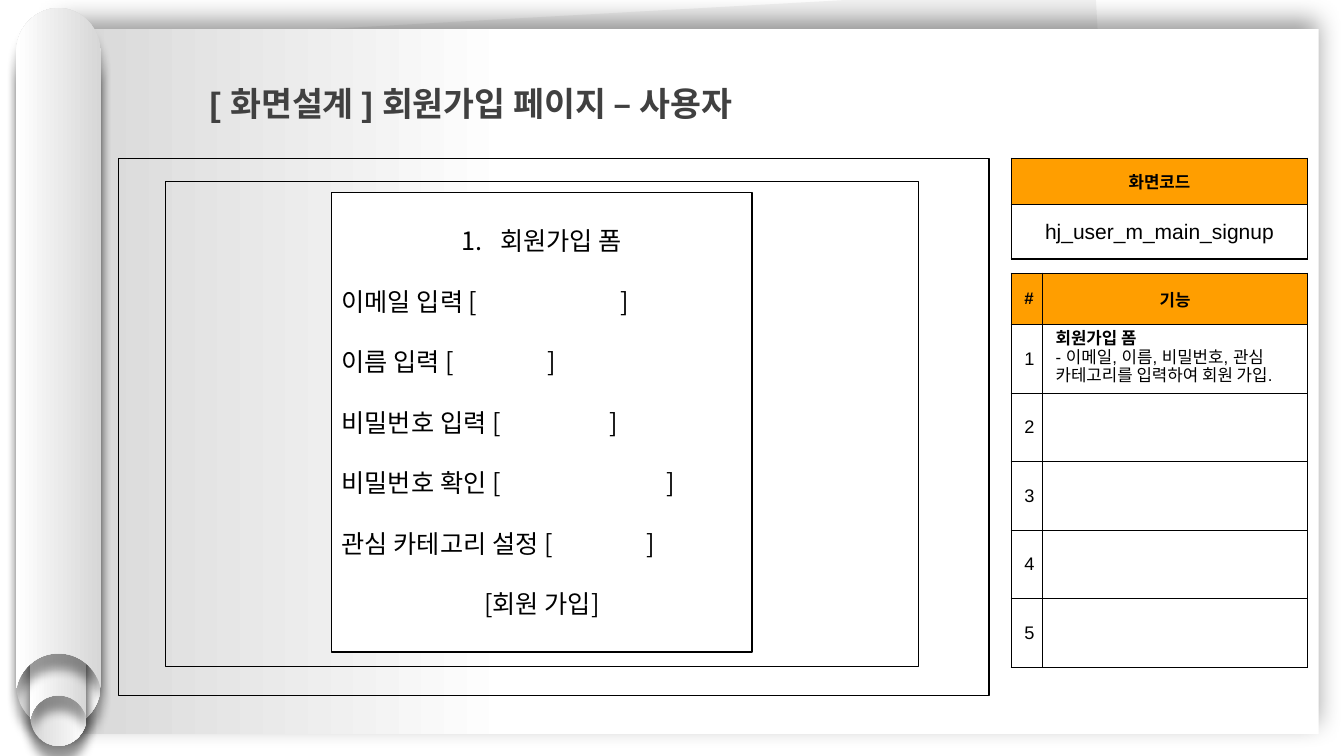
import dataclasses
from typing import Optional

import lxml.etree
import pptx
import pptx.dml.color
import pptx.enum.shapes
import pptx.enum.text
import pptx.oxml
import pptx.oxml.ns
import pptx.util
from pptx.util import Inches

ALIGN = pptx.enum.text.PP_ALIGN
ANCHOR = pptx.enum.text.MSO_ANCHOR


@dataclasses.dataclass(frozen=True)
class Theme:
    black: str = "000000"
    white: str = "FFFFFF"
    title: str = "404040"
    header: str = "FF9E00"
    backing: str = "F2F2F2"
    shade: str = "D7D7D7"
    latin: str = "Arial"
    korean: str = "Noto Sans CJK KR"
    title_size: float = 24
    form_size: float = 18
    code_size: float = 15
    number_size: float = 13
    label_size: float = 12


THEME = Theme()


@dataclasses.dataclass(frozen=True)
class Box:
    left: float
    top: float
    width: float
    height: float

    def emu(self) -> tuple:
        return tuple(Inches(v) for v in dataclasses.astuple(self))


@dataclasses.dataclass(frozen=True)
class Frame:
    box: Box
    fill: Optional[str] = None
    line_width: Optional[float] = None
    rotation: float = 0


@dataclasses.dataclass(frozen=True)
class Roll:
    box: Box
    rotation: float


@dataclasses.dataclass(frozen=True)
class FormLine:
    text: str
    centred: bool = False
    bracket_stop: Optional[float] = None
    numbered: bool = False


@dataclasses.dataclass(frozen=True)
class CellText:
    text: str
    size: float
    bold: bool = False
    fill: Optional[str] = None


BACKING = Frame(Box(0.91, 0.14, 10.15, 6.8), fill=THEME.backing, rotation=356.8)
PAPER = Frame(Box(0.58, 0.29, 12.5, 6.99))
ROLLS = [
    Roll(Box(0.16, 0.48, 0.84, 6.75), 180),
    Roll(Box(0.3, 2.88, 0.56, 4.52), 180),
    Roll(Box(0.3, 2.61, 0.56, 4.52), 0),
    Roll(Box(0.16, 0.08, 0.84, 6.75), 0),
]
SCREEN = Frame(Box(1.18, 1.57, 8.63, 5.33), line_width=0.75)
PAGE = Frame(Box(1.64, 1.8, 7.47, 4.81), line_width=1)
FORM = Frame(Box(3.29, 1.91, 4.17, 4.56), fill=THEME.white, line_width=1)
FORM_LINES = [
    FormLine("회원가입 폼", centred=True, numbered=True),
    FormLine("이메일 입력 [\t]", bracket_stop=2.77),
    FormLine("이름 입력 [\t]", bracket_stop=2.04),
    FormLine("비밀번호 입력 [\t]", bracket_stop=2.66),
    FormLine("비밀번호 확인 [\t]", bracket_stop=3.22),
    FormLine("관심 카테고리 설정 [\t]", bracket_stop=3.02),
    FormLine("[회원 가입]", centred=True),
]
FEATURE = "회원가입 폼\n- 이메일, 이름, 비밀번호, 관심 카테고리를 입력하여 회원 가입."


def rgb(value: str) -> pptx.dml.color.RGBColor:
    return pptx.dml.color.RGBColor.from_string(value)


def style(paragraph, size: float, colour: str = THEME.black, bold: bool = False,
          latin: str = THEME.latin) -> None:
    for run in paragraph.runs:
        run.font.size = pptx.util.Pt(size)
        run.font.bold = bold
        run.font.name = latin
        run.font.color.rgb = rgb(colour)
        run.font._element.set("kern", "0")
        east_asian = lxml.etree.SubElement(run.font._element, pptx.oxml.ns.qn("a:ea"))
        east_asian.set("typeface", THEME.korean)


def cast_shadow(shape, blur: float, distance: float, angle: float) -> None:
    shape.shadow.inherit = False
    effects = shape.element.spPr.find(pptx.oxml.ns.qn("a:effectLst"))
    effects.append(pptx.oxml.parse_xml(
        f'<a:outerShdw {pptx.oxml.ns.nsdecls("a")} blurRad="{pptx.util.Pt(blur)}" '
        f'dist="{pptx.util.Pt(distance)}" dir="{angle * 60000}" algn="ctr" rotWithShape="0">'
        f'<a:srgbClr val="{THEME.black}"><a:alpha val="40000"/></a:srgbClr></a:outerShdw>'))


def shade(shape, stops: list) -> None:
    shape.fill.gradient()
    shape.fill.gradient_angle = 180
    for stop, (position, colour) in zip(shape.fill.gradient_stops, stops):
        stop.position = position
        stop.color.rgb = rgb(colour)


def draw_frame(slide, frame: Frame):
    shape = slide.shapes.add_shape(pptx.enum.shapes.MSO_SHAPE.RECTANGLE, *frame.box.emu())
    shape.rotation = frame.rotation
    shape.shadow.inherit = False
    if frame.fill:
        shape.fill.solid()
        shape.fill.fore_color.rgb = rgb(frame.fill)
    else:
        shape.fill.background()
    if frame.line_width:
        shape.line.color.rgb = rgb(THEME.black)
        shape.line.width = pptx.util.Pt(frame.line_width)
    else:
        shape.line.fill.background()
    return shape


def bend(shape, curve_starts: list) -> None:
    segments = list(shape.element.iter(pptx.oxml.ns.qn("a:lnTo")))
    for start in curve_starts:
        curve = pptx.oxml.parse_xml(f'<a:cubicBezTo {pptx.oxml.ns.nsdecls("a")}/>')
        segments[start].addprevious(curve)
        for segment in segments[start:start + 3]:
            curve.append(segment[0])
            segment.getparent().remove(segment)


def draw_roll(slide, roll: Roll) -> None:
    box, radius = roll.box, roll.box.width / 2
    end = box.height / radius
    right = [(0.55, 0), (1, 0.47), (1, 1.05), (1, end), (0.95, end - 0.17),
             (0.79, end - 0.57), (0.43, end - 0.83)]
    left = [(-x, y) for x, y in reversed(right)]
    points = [(Inches(box.left + radius * (1 + x)), Inches(box.top + radius * y))
              for x, y in [(0, 0), *right, (0, end - 0.83), *left, (0, 0)]]
    outline = slide.shapes.build_freeform(*points[0])
    outline.add_line_segments(points[1:], close=True)
    shape = outline.convert_to_shape()
    bend(shape, [0, 5, 8, 13])
    shape.rotation = roll.rotation
    shape.line.fill.background()
    shade(shape, [(0, THEME.shade), (1, THEME.white)])
    cast_shadow(shape, 7, 11, 90)


def draw_form(slide) -> None:
    frame = draw_frame(slide, FORM).text_frame
    frame.word_wrap = True
    frame.vertical_anchor = ANCHOR.MIDDLE
    frame.text = "\n".join(line.text for line in FORM_LINES)
    for index, (paragraph, line) in enumerate(zip(frame.paragraphs, FORM_LINES)):
        paragraph.alignment = ALIGN.CENTER if line.centred else ALIGN.LEFT
        paragraph.line_spacing = pptx.util.Pt(21.6)
        paragraph.space_before = pptx.util.Pt(21.6 if index else 0)
        style(paragraph, THEME.form_size, latin=THEME.korean)
        properties = paragraph._p.get_or_add_pPr()
        if line.numbered:
            properties.set("marL", str(Inches(0.38)))
            properties.set("indent", str(-Inches(0.38)))
            number = lxml.etree.SubElement(properties, pptx.oxml.ns.qn("a:buAutoNum"))
            number.set("type", "arabicPeriod")
        if line.bracket_stop:
            tabs = lxml.etree.SubElement(properties, pptx.oxml.ns.qn("a:tabLst"))
            tab = lxml.etree.SubElement(tabs, pptx.oxml.ns.qn("a:tab"))
            tab.set("pos", str(Inches(line.bracket_stop)))
            tab.set("algn", "l")


def fill_cell(cell, content: CellText) -> None:
    cell.margin_left = cell.margin_right = Inches(0.13)
    cell.margin_top = cell.margin_bottom = Inches(0.07)
    cell.vertical_anchor = ANCHOR.MIDDLE
    for side in ("lnL", "lnR", "lnT", "lnB"):
        cell._tc.get_or_add_tcPr().append(pptx.oxml.parse_xml(
            f'<a:{side} {pptx.oxml.ns.nsdecls("a")} w="{pptx.util.Pt(1)}"><a:solidFill>'
            f'<a:srgbClr val="{THEME.black}"/></a:solidFill></a:{side}>'))
    if content.fill:
        cell.fill.solid()
        cell.fill.fore_color.rgb = rgb(content.fill)
    else:
        cell.fill.background()
    if content.text:
        cell.text_frame.text = content.text
    for paragraph in cell.text_frame.paragraphs:
        paragraph.alignment = ALIGN.CENTER
        style(paragraph, content.size, bold=content.bold)


def draw_table(slide, left: float, top: float, widths: list, heights: list, rows: list):
    box = Box(left, top, sum(widths), sum(heights))
    table = slide.shapes.add_table(len(rows), len(widths), *box.emu()).table
    table.first_row = table.horz_banding = False
    for column, width in zip(table.columns, widths):
        column.width = Inches(width)
    for row, height, contents in zip(table.rows, heights, rows):
        row.height = Inches(height)
        for cell, content in zip(row.cells, contents):
            fill_cell(cell, content)
    return table


def header(text: str) -> CellText:
    return CellText(text, THEME.label_size, True, THEME.header)


def draw_features(slide) -> None:
    rows = [[header("#"), header("기능")]]
    for number in range(1, 6):
        feature = FEATURE if number == 1 else ""
        rows.append([CellText(str(number), THEME.number_size), CellText(feature, THEME.label_size)])
    table = draw_table(slide, 10.03, 2.71, [0.31, 2.63], [0.51] + [0.68] * 5, rows)
    signup = table.cell(1, 1)
    signup.vertical_anchor = ANCHOR.TOP
    for paragraph in signup.text_frame.paragraphs:
        paragraph.alignment = ALIGN.LEFT
        paragraph.line_spacing = pptx.util.Pt(13)
    signup.text_frame.paragraphs[0].runs[0].font.bold = True


def draw_title(slide) -> None:
    title = slide.shapes.title
    title.left, title.top, title.width, title.height = Box(1.98, 0.57, 10.55, 0.63).emu()
    frame = title.text_frame
    frame.text = "[ 화면설계 ] 회원가입 페이지 – 사용자"
    frame.word_wrap = True
    frame.auto_size = pptx.enum.text.MSO_AUTO_SIZE.SHAPE_TO_FIT_TEXT
    frame.vertical_anchor = ANCHOR.TOP
    heading = frame.paragraphs[0]
    heading.alignment = ALIGN.LEFT
    heading.line_spacing = 1.5
    heading.space_before = pptx.util.Pt(0)
    style(heading, THEME.title_size, THEME.title, True)
    title.element.getparent().append(title.element)


def main() -> None:
    deck = pptx.Presentation()
    deck.slide_width, deck.slide_height = Inches(13.33), Inches(7.5)
    slide = deck.slides.add_slide(deck.slide_layouts[5])
    draw_frame(slide, BACKING)
    paper = draw_frame(slide, PAPER)
    shade(paper, [(0.64, THEME.white), (1, THEME.shade)])
    cast_shadow(paper, 18, 6, 270)
    for roll in ROLLS:
        draw_roll(slide, roll)
    draw_table(slide, 10.03, 1.57, [2.94], [0.46, 0.54],
               [[header("화면코드")], [CellText("hj_user_m_main_signup", THEME.code_size)]])
    draw_frame(slide, SCREEN)
    draw_features(slide)
    draw_frame(slide, PAGE)
    draw_form(slide)
    draw_title(slide)
    deck.save("out.pptx")


if __name__ == "__main__":
    main()
